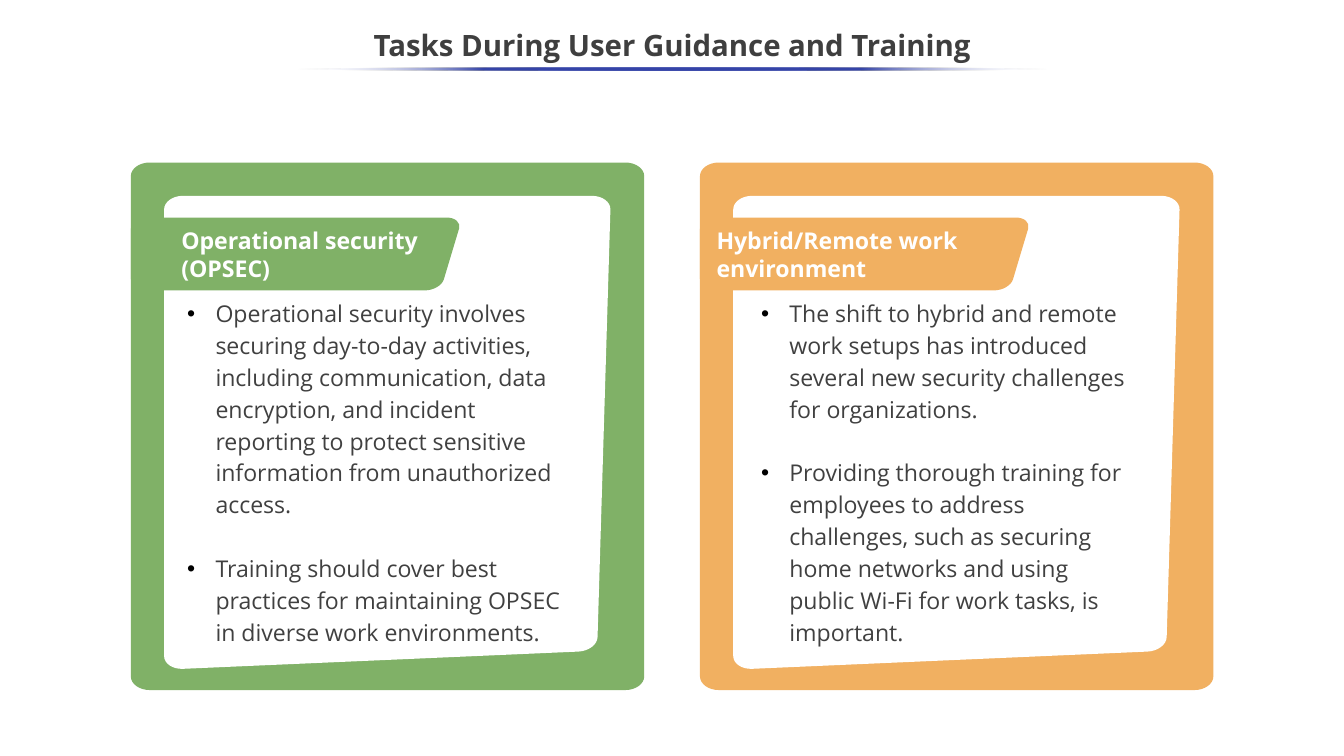
import math

from lxml import etree
from pptx import Presentation
from pptx.dml.color import RGBColor
from pptx.enum import shapes, text
from pptx.oxml import parse_xml
from pptx.oxml.ns import nsdecls, qn
from pptx.util import Pt

FONT = "Open Sans"
PANEL_TOP = 154.8
PANEL_WIDTH, PANEL_HEIGHT = 489, 502.4

# Corner points of each outline, measured from the panel's top left.
FRAME = [(0, 0), (PANEL_WIDTH, 0), (PANEL_WIDTH, PANEL_HEIGHT), (0, PANEL_HEIGHT)]
PAGE = [(31.7, 31.7), (457.2, 31.7), (444.2, 465), (31.7, 483)]
TAB = [(0, 52.4), (315.8, 52.4), (295, 121.8), (0, 121.8)]

PANELS = [
    {
        "left": 666.7, "color": "F1B061",
        "heading": "Hybrid/Remote work environment",
        "heading_box": (675.4, 212.4, 347.8, 60.5),
        "body_box": (717.8, 277.9, 365.8, 342.7),
        "points": [
            "The shift to hybrid and remote work setups has introduced several "
            "new security challenges for organizations.",
            "Providing thorough training for employees to address challenges, "
            "such as securing home networks and using public Wi-Fi for work "
            "tasks, is important.",
        ],
    },
    {
        "left": 124.6, "color": "80B167",
        "heading": "Operational security (OPSEC)",
        "heading_box": (165.6, 212.4, 291.6, 60.5),
        "body_box": (171.2, 277.9, 386.6, 342.7),
        "points": [
            "Operational security involves securing day-to-day activities, "
            "including communication, data encryption, and incident reporting "
            "to protect sensitive information from unauthorized access.",
            "Training should cover best practices for maintaining OPSEC in "
            "diverse work environments.",
        ],
    },
]


def rgb(color):
    return RGBColor.from_string(color)


def toward(start, end, share):
    return tuple(a + (b - a) * share for a, b in zip(start, end))


def corner_ends(corners, across, down):
    """Where each rounding starts and ends: `across` along flat edges, `down` along upright ones."""
    ends = []
    for index, corner in enumerate(corners):
        for neighbour in (corners[index - 1], corners[(index + 1) % len(corners)]):
            flat = abs(neighbour[0] - corner[0]) > abs(neighbour[1] - corner[1])
            distance = across if flat else down
            ends.append(toward(corner, neighbour, distance / math.dist(corner, neighbour)))
    return ends


def curve_corners(shape, ends, corners):
    """Turn the line across each corner into a curve."""
    segments = list(shape._element.spPr.iter(qn("a:moveTo"), qn("a:lnTo")))
    for index, corner in enumerate(corners):
        start, end = ends[2 * index:2 * index + 2]
        line = segments[2 * index + 1]
        curve = etree.Element(qn("a:cubicBezTo"))
        for x, y in (toward(start, corner, 0.55), toward(end, corner, 0.55), end):
            etree.SubElement(curve, qn("a:pt"),
                             x=str(Pt(x) - shape.left), y=str(Pt(y) - shape.top))
        line.getparent().replace(line, curve)


def add_outline(group, left, corners, color, across=18, down=13):
    corners = [(left + x, PANEL_TOP + y) for x, y in corners]
    ends = corner_ends(corners, across, down)
    points = [(Pt(x), Pt(y)) for x, y in ends]
    builder = group.shapes.build_freeform(*points[0])
    builder.add_line_segments(points[1:], close=True)
    shape = builder.convert_to_shape()
    # The closing step may repeat the first point; only corner lines change.
    curve_corners(shape, ends, corners)
    shape.shadow.inherit = False
    shape.fill.solid()
    shape.fill.fore_color.rgb = rgb(color)
    shape.line.fill.background()


def add_text_box(parent, box):
    frame = parent.shapes.add_textbox(*map(Pt, box)).text_frame
    frame.word_wrap = True
    return frame


def style(paragraph, size, color, bold=False):
    font = paragraph.font
    font.name, font.size, font.bold = FONT, Pt(size), bold
    font.color.rgb = rgb(color)


def add_bullet(paragraph):
    properties = paragraph._p.get_or_add_pPr()
    properties.set("marL", str(Pt(27)))
    properties.set("indent", str(-Pt(27)))
    bullet_color = etree.SubElement(properties, qn("a:buClr"))
    etree.SubElement(bullet_color, qn("a:srgbClr"), val="000000")
    etree.SubElement(properties, qn("a:buFont"), typeface="Arial")
    etree.SubElement(properties, qn("a:buChar"), char="•")


def add_bullet_list(slide, box, points):
    frame = add_text_box(slide, box)
    for index, point in enumerate(points):
        paragraph = frame.add_paragraph() if index else frame.paragraphs[0]
        paragraph.text = point
        add_bullet(paragraph)
        paragraph.line_spacing = 1.15
        if index:
            paragraph.space_before = Pt(30.2)
        style(paragraph, 22, "404040")


def add_panel(slide, panel):
    group = slide.shapes.add_group_shape()
    left, color = panel["left"], panel["color"]
    add_outline(group, left, FRAME, color)
    add_outline(group, left, PAGE, "FFFFFF")
    add_outline(group, left, TAB, color, across=15, down=11)
    heading = add_text_box(group, panel["heading_box"]).paragraphs[0]
    heading.text = panel["heading"]
    style(heading, 22, "FFFFFF", bold=True)


def add_title(slide, title):
    frame = add_text_box(slide, (0, 18, 1280.2, 54))
    frame.vertical_anchor = text.MSO_ANCHOR.MIDDLE
    paragraph = frame.paragraphs[0]
    paragraph.text = title
    paragraph.alignment = text.PP_ALIGN.CENTER
    paragraph.line_spacing = 0.9
    style(paragraph, 28, "3F3F3F", bold=True)


def add_fading_rule(slide):
    """Thin line under the title, fading out at both ends."""
    rule = slide.shapes.add_shape(shapes.MSO_SHAPE.OVAL, *map(Pt, (282.2, 64.1, 716.4, 3)))
    rule.shadow.inherit = False
    rule.line.fill.background()
    clear = '<a:srgbClr val="FFFFFF"><a:alpha val="0"/></a:srgbClr>'
    blue = '<a:srgbClr val="3645A9"/>'
    stops = "".join(f'<a:gs pos="{index * 25000}">{color}</a:gs>'
                    for index, color in enumerate([clear, blue, blue, blue, clear]))
    gradient = parse_xml(f'<a:gradFill {nsdecls("a")}><a:gsLst>{stops}</a:gsLst>'
                         '<a:lin ang="10800000" scaled="0"/></a:gradFill>')
    rule._element.spPr.find(qn("a:prstGeom")).addnext(gradient)


def main():
    presentation = Presentation()
    presentation.slide_width, presentation.slide_height = Pt(1280.16), Pt(720)
    slide = presentation.slides.add_slide(presentation.slide_layouts[6])
    for panel in PANELS:
        add_panel(slide, panel)
    for panel in reversed(PANELS):
        add_bullet_list(slide, panel["body_box"], panel["points"])
    add_title(slide, "Tasks During User Guidance and Training")
    add_fading_rule(slide)
    presentation.save("out.pptx")


if __name__ == "__main__":
    main()
